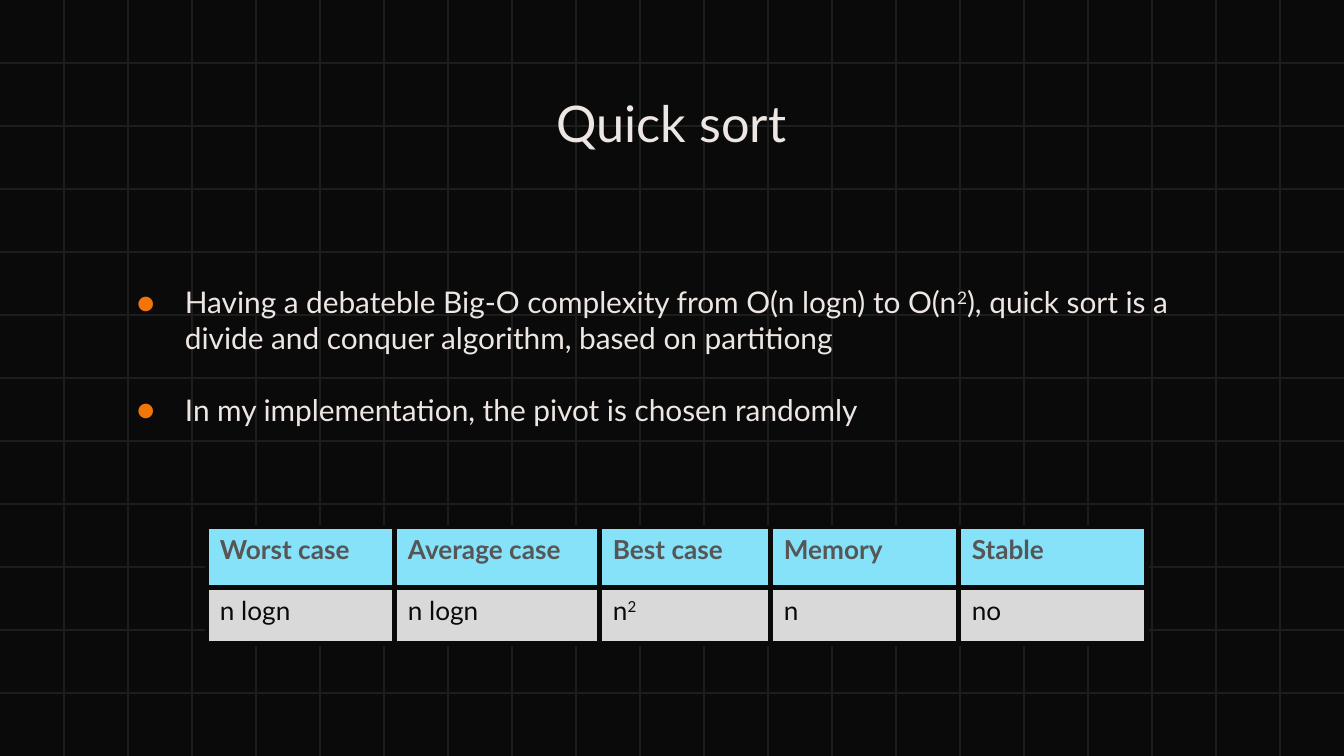
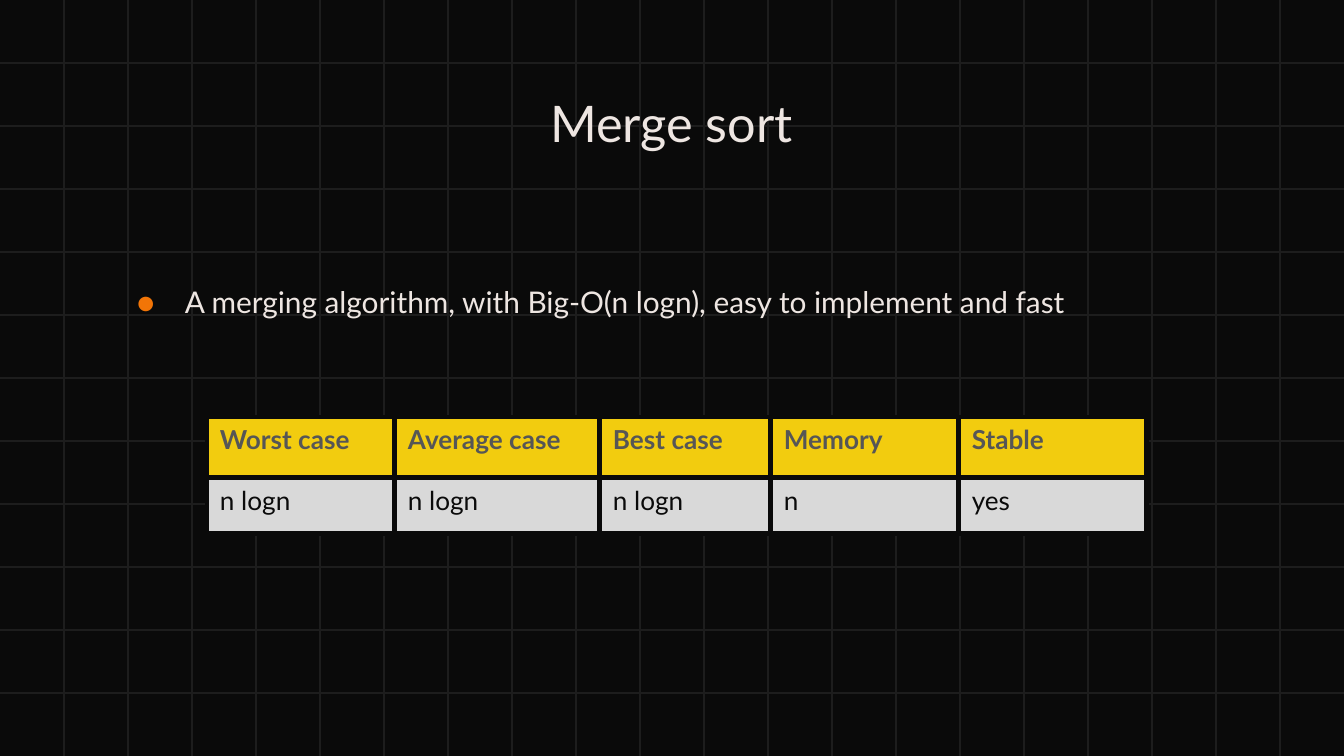
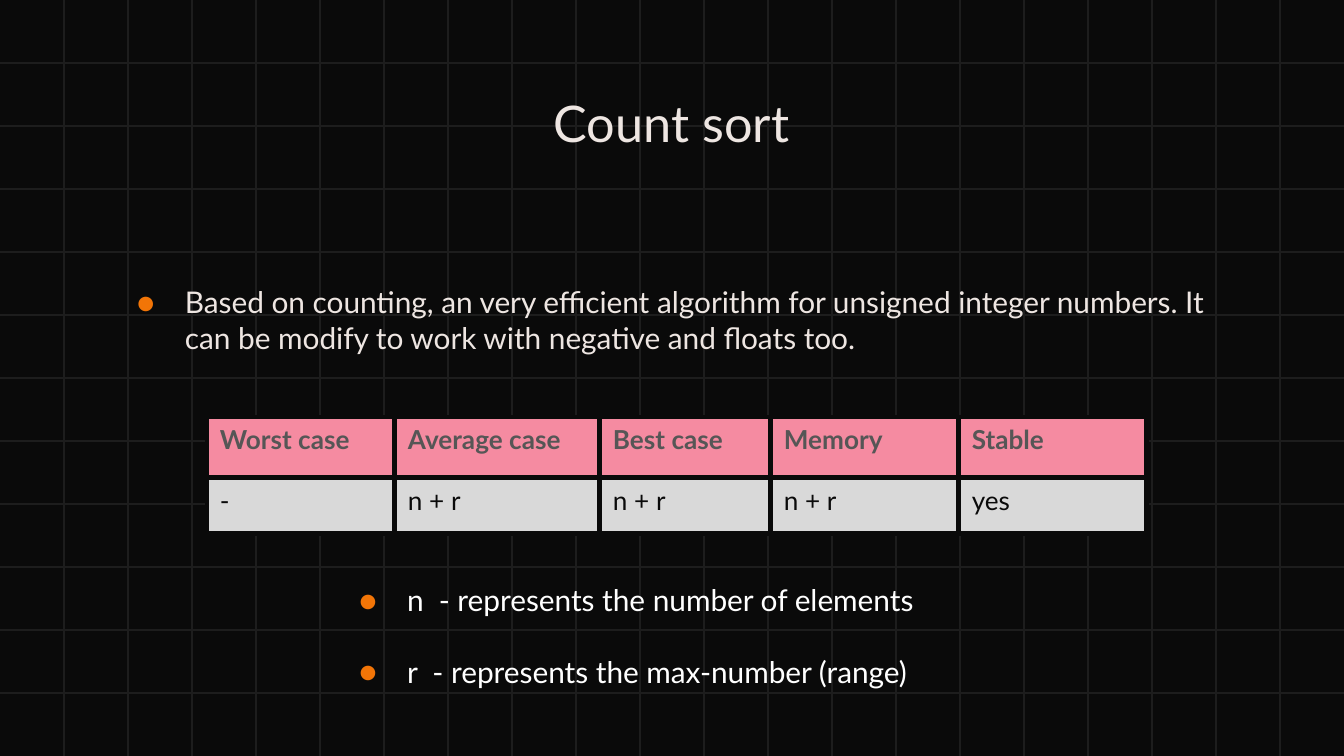
"""Builds three dark slides, each presenting one sorting algorithm with its complexity table."""
from lxml import etree
from pptx import Presentation
from pptx.dml.color import RGBColor
from pptx.enum.shapes import MSO_CONNECTOR
from pptx.enum.text import MSO_ANCHOR, PP_ALIGN
from pptx.oxml.ns import qn
from pptx.util import Pt

STRAIGHT = MSO_CONNECTOR.STRAIGHT
TOP = MSO_ANCHOR.TOP
LEFT, CENTER = PP_ALIGN.LEFT, PP_ALIGN.CENTER

COLORS = {
    "background": "0A0A0A", "grid": "1D1D1D", "text": "EEE6E2", "bullet": "F27507",
    "note": "FFFFFF", "header": "565656", "value": "0A0A0A", "value_fill": "D9D9D9",
    "blue": "85E2F9", "yellow": "F2CC0F", "pink": "F58BA1",
}
FONT = "Lato"
RAISED_MARK = "^"

HEADERS = ["Worst case", "Average case", "Best case", "Memory", "Stable"]
SLIDES = [
    {
        "title": "Quick sort", "color": "blue", "table_top": 527,
        "points": [
            "Having a debateble Big-O complexity from O(n logn) to O(n^2^), "
            "quick sort is a divide and conquer algorithm, based on partitiong",
            "In my implementation, the pivot is chosen randomly",
        ],
        "values": ["n logn", "n logn", "n^2^", "n", "no"],
        "notes": [],
    },
    {
        "title": "Merge sort", "color": "yellow", "table_top": 417,
        "points": ["A merging algorithm, with Big-O(n logn), easy to implement and fast"],
        "values": ["n logn", "n logn", "n logn", "n", "yes"],
        "notes": [],
    },
    {
        "title": "Count sort", "color": "pink", "table_top": 417,
        "points": [
            "Based on counting, an very efficient algorithm for unsigned integer numbers. "
            "It can be modify to work with negative and floats too.",
        ],
        "values": ["-", "n + r", "n + r", "n + r", "yes"],
        "notes": [
            "n  - represents the number of elements",
            "r  - represents the max-number (range)",
        ],
    },
]

WIDTH, HEIGHT = 1344, 756
GRID_COLUMNS, GRID_ROWS = 21, 12
TITLE_BOX = (258, 79, 827, 146)
BODY_BOX = (105, 271, 1133, 406)
NOTES_BOX = (327, 569, 689, 134)
INSET = 13
BULLET_INDENT, BULLET_HANG = 67, 48
TABLE_LEFT = 207
COLUMN_WIDTHS = [188, 205, 171, 188, 188]
ROW_HEIGHTS = [61, 56]
CELL_MARGINS = (13, 7)
TITLE_SIZE, BODY_SIZE, TABLE_SIZE = 27, 16, 14
POINT_GAP = 19.2
BORDER, GRID_LINE = 3, 0.75
SCALE = 914400 / 134.4


def px(length):
    return round(length * SCALE)


def rgb(name):
    return RGBColor.from_string(COLORS[name])


def write(para, text, size, color, bold=False):
    for index, part in enumerate(text.split(RAISED_MARK)):
        if not part:
            continue
        span = para.add_run()
        span.text = part
        span.font.name = FONT
        span.font.size = Pt(size)
        span.font.bold = bold
        span.font.color.rgb = rgb(color)
        if index % 2:
            span.font._element.set("baseline", "30000")


def add_bullet(para):
    props = para._p.get_or_add_pPr()
    props.set("marL", str(px(BULLET_INDENT)))
    props.set("indent", str(-px(BULLET_HANG)))
    color = etree.SubElement(props, qn("a:buClr"))
    etree.SubElement(color, qn("a:srgbClr"), val=COLORS["bullet"])
    etree.SubElement(props, qn("a:buFont"), typeface=FONT)
    etree.SubElement(props, qn("a:buChar"), char="●")


def add_text(page, place, lines, size, color, bulleted=True):
    box = page.shapes.add_textbox(*map(px, place))
    frame = box.text_frame
    frame.word_wrap = True
    frame.vertical_anchor = TOP
    frame.margin_left = frame.margin_right = px(INSET)
    frame.margin_top = frame.margin_bottom = px(INSET)
    for index, line in enumerate(lines):
        para = frame.add_paragraph() if index else frame.paragraphs[0]
        para.alignment = LEFT if bulleted else CENTER
        if index:
            para.space_before = Pt(POINT_GAP)
        if bulleted:
            add_bullet(para)
        write(para, line, size, color)


def add_borders(cell):
    props = cell._tc.get_or_add_tcPr()
    for index, side in enumerate(("lnL", "lnR", "lnT", "lnB")):
        border = etree.Element(qn(f"a:{side}"), w=str(Pt(BORDER)))
        fill = etree.SubElement(border, qn("a:solidFill"))
        etree.SubElement(fill, qn("a:srgbClr"), val=COLORS["background"])
        props.insert(index, border)


def add_complexity_table(page, top, values, header_fill):
    place = (TABLE_LEFT, top, sum(COLUMN_WIDTHS), sum(ROW_HEIGHTS))
    table = page.shapes.add_table(2, len(HEADERS), *map(px, place)).table
    for column, width in zip(table.columns, COLUMN_WIDTHS):
        column.width = px(width)
    rows = [(HEADERS, header_fill, "header", True), (values, "value_fill", "value", False)]
    for row_index, (texts, fill, color, bold) in enumerate(rows):
        table.rows[row_index].height = px(ROW_HEIGHTS[row_index])
        for column_index, text in enumerate(texts):
            cell = table.cell(row_index, column_index)
            cell.margin_left = cell.margin_right = px(CELL_MARGINS[0])
            cell.margin_top = cell.margin_bottom = px(CELL_MARGINS[1])
            cell.fill.solid()
            cell.fill.fore_color.rgb = rgb(fill)
            add_borders(cell)
            write(cell.text_frame.paragraphs[0], text, TABLE_SIZE, color, bold)


def add_grid(page, layout):
    """Draws the grid as one group and hands it to the layout, so every slide shows it."""
    group = page.shapes.add_group_shape()
    row_step, column_step = HEIGHT / GRID_ROWS, WIDTH / GRID_COLUMNS
    lines = [(0, n * row_step, WIDTH, n * row_step) for n in range(1, GRID_ROWS)]
    lines += [(n * column_step, 0, n * column_step, HEIGHT) for n in range(1, GRID_COLUMNS)]
    for ends in lines:
        line = group.shapes.add_connector(STRAIGHT, *map(px, ends))
        line.line.color.rgb = rgb("grid")
        line.line.width = Pt(GRID_LINE)
        etree.SubElement(line._element.spPr, qn("a:effectLst"))
    layout.shapes.element.append(group._element)


deck = Presentation()
deck.slide_width, deck.slide_height = px(WIDTH), px(HEIGHT)
background = deck.slide_master.background.fill
background.solid()
background.fore_color.rgb = rgb("background")
blank = deck.slide_layouts[6]

for number, content in enumerate(SLIDES):
    page = deck.slides.add_slide(blank)
    if number == 0:
        add_grid(page, blank)
    add_text(page, BODY_BOX, content["points"], BODY_SIZE, "text")
    add_text(page, TITLE_BOX, [content["title"]], TITLE_SIZE, "text", bulleted=False)
    add_complexity_table(page, content["table_top"], content["values"], content["color"])
    if content["notes"]:
        add_text(page, NOTES_BOX, content["notes"], BODY_SIZE, "note")

deck.save("out.pptx")
